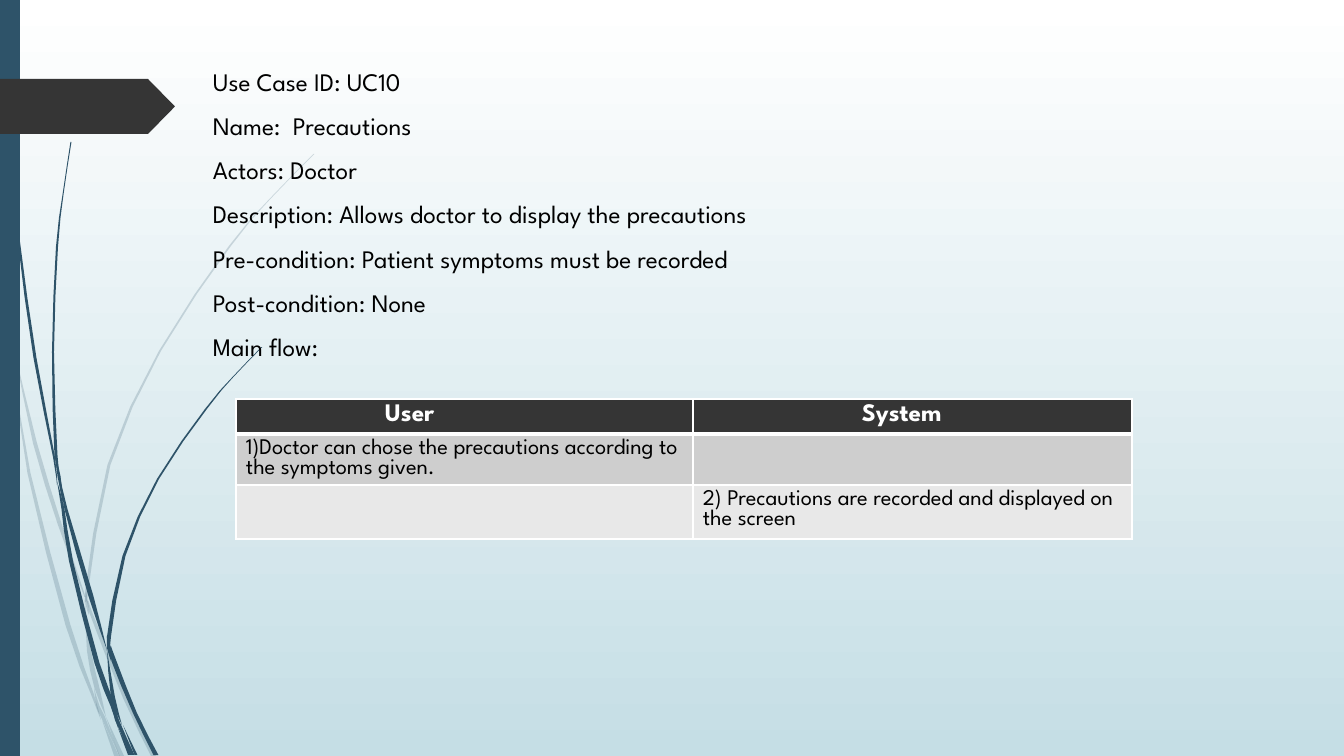
from dataclasses import dataclass

from lxml.etree import SubElement
from pptx import Presentation
from pptx.dml.color import RGBColor
from pptx.enum.shapes import MSO_SHAPE
from pptx.oxml.ns import qn
from pptx.util import Length, Pt

EMU_PER_PIXEL = 914400 / 100.8
FONT = "League Spartan"
BLUE, DARK, WHITE, BLACK = "2E5369", "353535", "FFFFFF", "000000"
CURVE_STEPS = 2


@dataclass(frozen=True)
class Node:
    x: float
    y: float
    width: float


@dataclass(frozen=True)
class CellContent:
    text: str
    fill: str
    size: int = 16
    color: str = BLACK
    bold: bool = False
    indent: int = 10
    bottom_border: int = 1


PALE_STRANDS = (
    ((0, 284, 0), (2, 301, 4), (7, 325, 4), (11, 353, 0)),
    ((14, 348, 0), (35, 443, 4), (60, 525, 4), (85, 597, 1)),
    ((89, 601, 0), (91, 613, 3), (126, 699, 5), (154, 757, 5)),
    ((106, 717, 0), (122, 757, 5)),
    ((11, 353, 0), (29, 473, 3), (68, 625, 5), (92, 693, 3), (101, 720, 0)),
    ((85, 604, 0), (89, 651, 4), (97, 688, 5), (106, 717, 0)),
    ((314, 154, 1), (270, 199, 1), (230, 246, 2), (160, 351, 2), (109, 465, 3),
     (87, 589, 3), (87, 601, 1)),
    ((102, 720, 0), (117, 757, 5)),
    ((86, 591, 0), (87, 604, 3), (89, 615, 0)),
    ((94, 688, 0), (98, 706, 3), (103, 717, 4), (120, 757, 0)),
)
DEEP_STRANDS = (
    ((3, 0, 1), (7, 110, 1), (18, 234, 2), (35, 358, 3), (54, 457, 2), (57, 485, 0)),
    ((60, 476, 0), (66, 509, 3), (91, 596, 5), (107, 650, 0)),
    ((111, 646, 0), (114, 661, 5), (135, 713, 4), (156, 755, 5)),
    ((57, 481, 0), (63, 509, 3), (71, 561, 4), (97, 663, 5), (113, 706, 5), (118, 728, 0)),
    ((71, 142, 1), (63, 195, 1), (57, 247, 2), (53, 352, 2), (56, 455, 3), (60, 476, 0)),
    ((123, 725, 0), (136, 755, 3)),
    ((55, 453, 0), (59, 476, 3), (64, 509, 0)),
    ((262, 347, 1), (233, 377, 1), (206, 409, 2), (158, 479, 2), (124, 556, 3),
     (109, 637, 4), (111, 646, 0)),
    ((118, 728, 0), (130, 755, 4)),
    ((107, 650, 0), (113, 697, 4), (122, 725, 0)),
    ((107, 636, 0), (109, 648, 4), (111, 661, 0)),
    ((111, 697, 0), (117, 720, 4), (133, 755, 3)),
)

USE_CASE_LINES = (
    "Use Case ID: UC10",
    "Name:  Precautions",
    "Actors: Doctor",
    "Description: Allows doctor to display the precautions",
    "Pre-condition: Patient symptoms must be recorded",
    "Post-condition: None",
    "Main flow:",
)

COLUMN_WIDTHS = (457, 439)
ROW_HEIGHTS = (35, 51, 54)
FLOW_ROWS = (
    (CellContent("User", DARK, 18, WHITE, True, 149, 3),
     CellContent("System", DARK, 18, WHITE, True, 169, 3)),
    (CellContent("1)Doctor can chose the precautions according to the symptoms given.", "CECECE"),
     CellContent("", "CECECE")),
    (CellContent("", "E8E8E8"),
     CellContent("2) Precautions are recorded and displayed on the screen", "E8E8E8")),
)


def emu(pixels: float) -> int:
    return round(pixels * EMU_PER_PIXEL)


def rgb(color: str) -> RGBColor:
    return RGBColor.from_string(color)


def paint(shape, color: str, opacity: int = 100) -> None:
    shape.shadow.inherit = False
    shape.fill.solid()
    shape.fill.fore_color.rgb = rgb(color)
    shape.line.fill.background()
    if opacity < 100:
        color_element = shape.fill._xPr.find(qn("a:solidFill"))[0]
        SubElement(color_element, qn("a:alpha"), val=str(opacity * 1000))


def write(paragraph, text: str, *, size: int, color: str = BLACK, bold: bool = False,
          space_before: int = 0, line_spacing: float | Length = 1.0) -> None:
    paragraph.space_before = Pt(space_before)
    paragraph.line_spacing = line_spacing
    run = paragraph.add_run()
    run.text = text
    run.font.name = FONT
    run.font.size = Pt(size)
    run.font.bold = bold
    run.font.color.rgb = rgb(color)


def blend(before: float, start: float, end: float, after: float, t: float) -> float:
    return 0.5 * (2 * start + (end - before) * t
                  + (2 * before - 5 * start + 4 * end - after) * t ** 2
                  + (3 * start - before - 3 * end + after) * t ** 3)


def smooth_nodes(nodes: tuple[tuple[int, int, int], ...]) -> list[Node]:
    padded = (nodes[0], *nodes, nodes[-1])
    smooth = [
        Node(*(blend(*values, step / CURVE_STEPS) for values in zip(*padded[index:index + 4])))
        for index in range(len(nodes) - 1)
        for step in range(CURVE_STEPS)
    ]
    return [*smooth, Node(*nodes[-1])]


def draw_strand(slide, strand: tuple[tuple[int, int, int], ...], opacity: int) -> None:
    nodes = smooth_nodes(strand)
    left_edge = [(emu(node.x - node.width / 2), emu(node.y)) for node in nodes]
    right_edge = [(emu(node.x + node.width / 2), emu(node.y)) for node in reversed(nodes)]
    builder = slide.shapes.build_freeform(*left_edge[0])
    builder.add_line_segments(left_edge[1:] + right_edge, close=True)
    paint(builder.convert_to_shape(), BLUE, opacity)


def draw_preset(slide, kind: MSO_SHAPE, left: int, top: int, width: int, height: int, color: str):
    shape = slide.shapes.add_shape(kind, emu(left), emu(top), emu(width), emu(height))
    paint(shape, color)
    return shape


def draw_use_case(slide) -> None:
    box = slide.shapes.add_textbox(emu(203), emu(61), emu(1116), emu(633))
    frame = box.text_frame
    frame.word_wrap = True
    for index, line in enumerate(USE_CASE_LINES):
        paragraph = frame.add_paragraph() if index else frame.paragraphs[0]
        write(paragraph, line, size=18, space_before=10)


def add_border(cell, side: str, width: int) -> None:
    border = SubElement(cell._tc.get_or_add_tcPr(), qn(f"a:{side}"), w=str(Pt(width)))
    fill = SubElement(border, qn("a:solidFill"))
    SubElement(fill, qn("a:srgbClr"), val=WHITE)


def format_cell(cell, content: CellContent, top_border: int) -> None:
    widths = {"lnL": 1, "lnR": 1, "lnT": top_border, "lnB": content.bottom_border}
    for side, width in widths.items():
        add_border(cell, side, width)
    cell.fill.solid()
    cell.fill.fore_color.rgb = rgb(content.fill)
    cell.margin_left = emu(content.indent)
    if content.text:
        write(cell.text_frame.paragraphs[0], content.text, size=content.size,
              color=content.color, bold=content.bold, line_spacing=Pt(0.9 * content.size))


def draw_flow_table(slide) -> None:
    table = slide.shapes.add_table(
        len(ROW_HEIGHTS), len(COLUMN_WIDTHS), emu(236), emu(399),
        emu(sum(COLUMN_WIDTHS)), emu(sum(ROW_HEIGHTS))).table
    for column, width in zip(table.columns, COLUMN_WIDTHS):
        column.width = emu(width)
    for row, height in zip(table.rows, ROW_HEIGHTS):
        row.height = emu(height)
    for row_index, contents in enumerate(FLOW_ROWS):
        for column_index, content in enumerate(contents):
            top_border = FLOW_ROWS[row_index - 1][column_index].bottom_border if row_index else 1
            format_cell(table.cell(row_index, column_index), content, top_border)


def draw_background(slide) -> None:
    fill = slide.background.fill
    fill.gradient()
    fill.gradient_angle = 270
    for stop, color in zip(fill.gradient_stops, (WHITE, "C5DEE5")):
        stop.color.rgb = rgb(color)


presentation = Presentation()
presentation.slide_width = emu(1344)
presentation.slide_height = emu(756)
slide = presentation.slides.add_slide(presentation.slide_layouts[6])
draw_background(slide)
for strands, opacity in ((PALE_STRANDS, 20), (DEEP_STRANDS, 100)):
    for strand in strands:
        draw_strand(slide, strand, opacity)
draw_preset(slide, MSO_SHAPE.RECTANGLE, 0, 0, 20, 756, BLUE)
pointer = draw_preset(slide, MSO_SHAPE.PENTAGON, 0, 79, 175, 55, DARK)
pointer.adjustments[0] = 0.49
draw_use_case(slide)
draw_flow_table(slide)
presentation.save("out.pptx")
